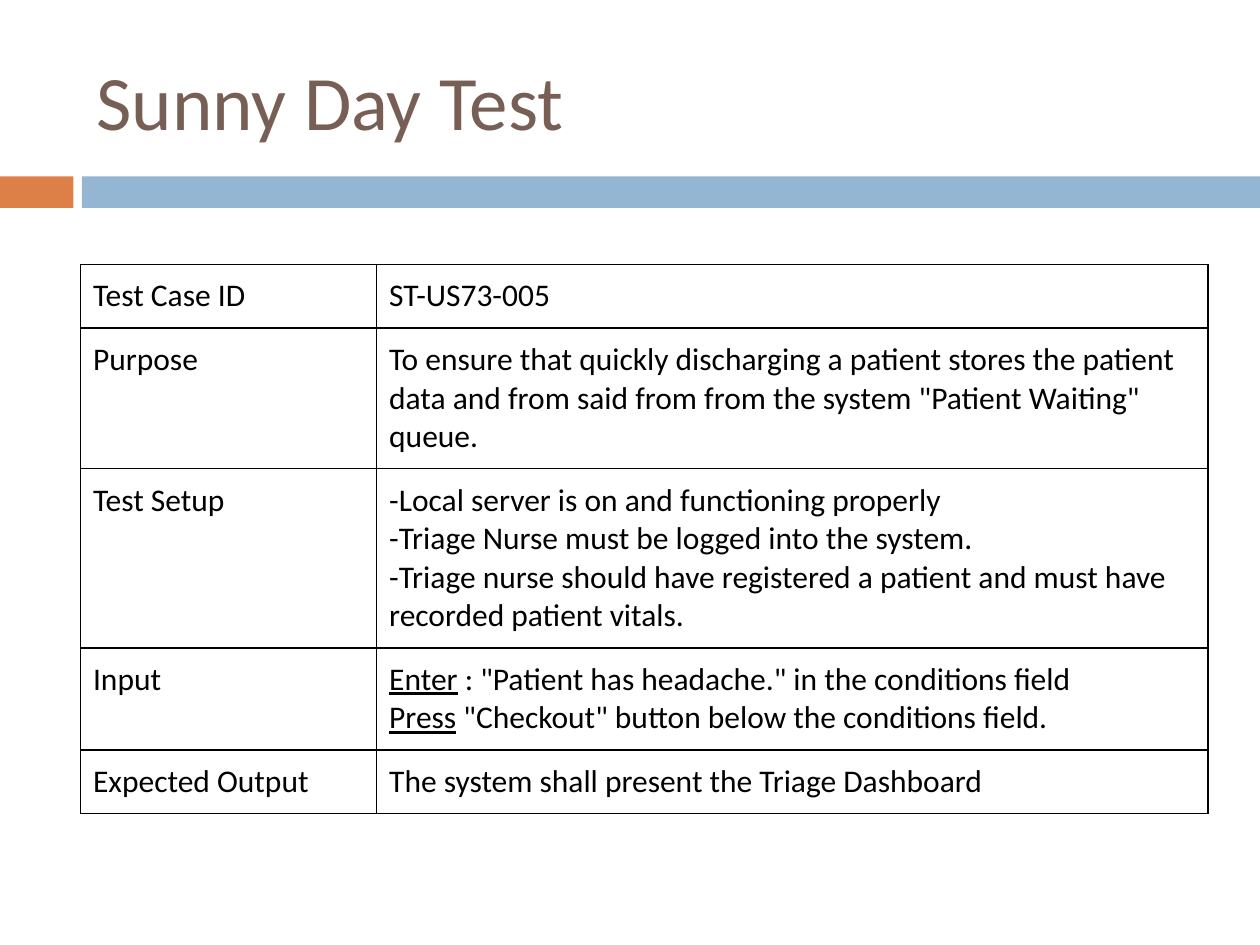
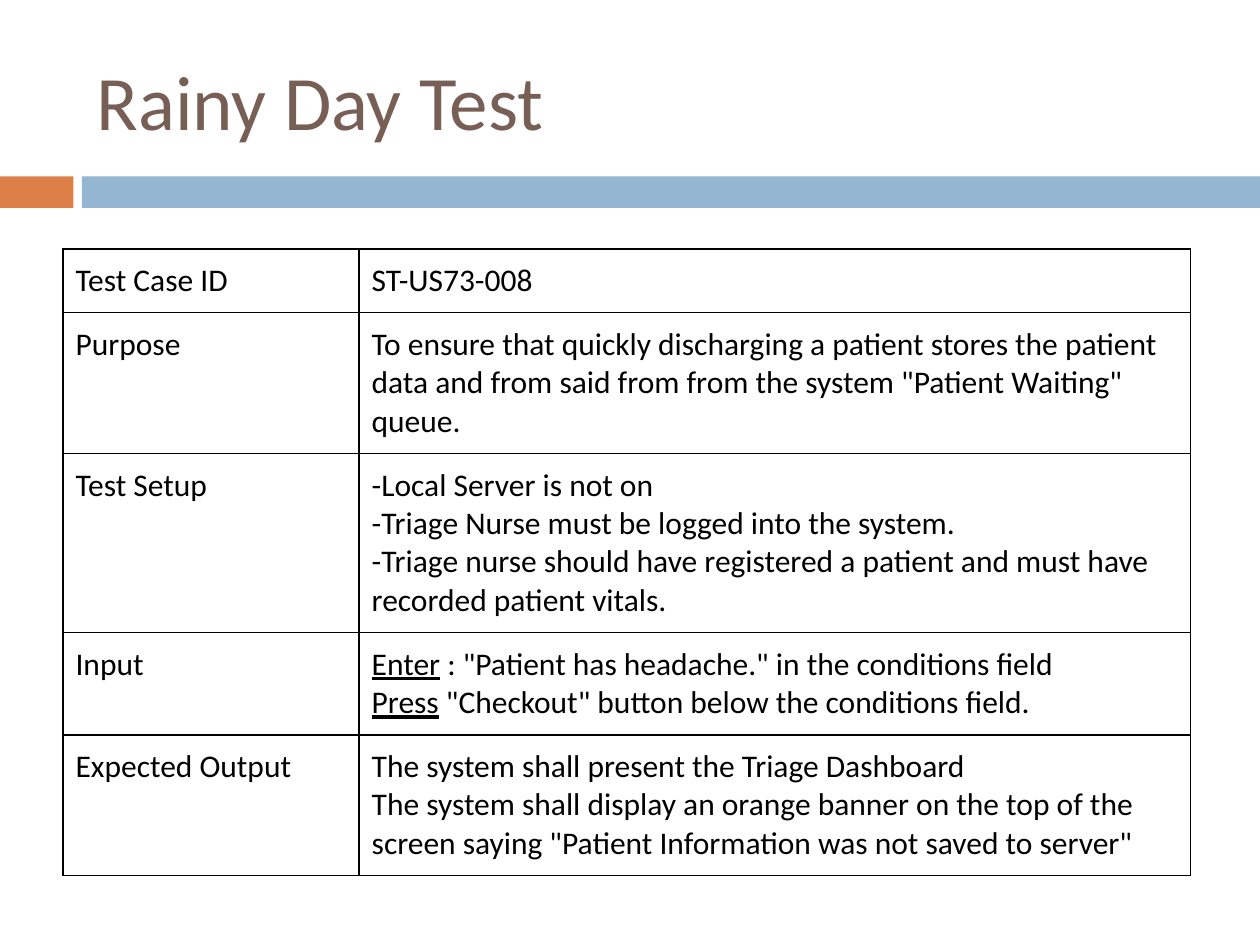
from lxml import etree
from pptx import Presentation
from pptx.dml.color import RGBColor
from pptx.enum import shapes, text
from pptx.oxml import ns
from pptx.util import Pt

COLORS = {
    "title": "775F55",
    "accent": "DD8047",
    "band": "94B6D2",
    "ink": "000000",
}
FONT = "Calibri"
SLIDE_W, SLIDE_H = 720, 540
TITLE_BOX = (48, 18, 642, 78)
BAND_BOX = (0, 100.8, SLIDE_W, 18)
ACCENT_W, BAND_GAP = 42, 4.8
COLUMN_WIDTHS = (169.2, 475.2)
CELL_MARGIN = 7.2
LINE_HEIGHT = 22
BORDER_WIDTH = 1

# Each paragraph is a list of (words, underlined) runs.
PURPOSE = [[("To ensure that quickly discharging a patient stores the patient data "
             'and from said from from the system "Patient Waiting" queue.', False)]]
SHARED_SETUP = [
    [("-Triage Nurse must be logged into the system.", False)],
    [("-Triage nurse should have registered a patient and must have recorded "
      "patient vitals.", False)],
]
INPUT_STEPS = [
    [("Enter", True), (' : "Patient has headache." in the conditions field', False)],
    [("Press", True), (' "Checkout" button below the conditions field.', False)],
]
DASHBOARD = [("The system shall present the Triage Dashboard", False)]
BANNER = [("The system shall display an orange banner on the top of the screen "
           'saying "Patient Information was not saved to server"', False)]

TEST_CASES = [
    {"title": "Sunny Day Test", "corner": (46, 151), "id": "ST-US73-005",
     "server": "-Local server is on and functioning properly",
     "output": [DASHBOARD], "output_lines": 1},
    {"title": "Rainy Day Test", "corner": (36, 142.3), "id": "ST-US73-008",
     "server": "-Local Server is not on",
     "output": [DASHBOARD, BANNER], "output_lines": 3},
]


def rgb(name):
    return RGBColor.from_string(COLORS[name])


def add_run(paragraph, words, size, color, underlined=False):
    run = paragraph.add_run()
    run.text = words
    run.font.name = FONT
    run.font.size = Pt(size)
    run.font.color.rgb = rgb(color)
    if underlined:
        run.font.underline = True


def place_title(slide, box, words):
    title = slide.shapes.title
    title.left, title.top, title.width, title.height = map(Pt, box)
    title.text_frame.vertical_anchor = text.MSO_ANCHOR.MIDDLE
    paragraph = title.text_frame.paragraphs[0]
    paragraph.alignment = text.PP_ALIGN.LEFT
    add_run(paragraph, words, 44, "title")


def add_band(slide, box):
    """Draw the short accent block and the long band to its right."""
    left, top, width, height = box
    offset = ACCENT_W + BAND_GAP
    for x, part_width, color in ((left, ACCENT_W, "accent"),
                                 (left + offset, width - offset, "band")):
        block = slide.shapes.add_shape(shapes.MSO_SHAPE.RECTANGLE,
                                       Pt(x), Pt(top), Pt(part_width), Pt(height))
        block.shadow.inherit = False
        block.fill.solid()
        block.fill.fore_color.rgb = rgb(color)
        block.line.fill.background()


def add_borders(cell):
    properties = cell._tc.get_or_add_tcPr()
    for side in ("a:lnL", "a:lnR", "a:lnT", "a:lnB"):
        line = etree.SubElement(properties, ns.qn(side), w=str(Pt(BORDER_WIDTH)))
        fill = etree.SubElement(line, ns.qn("a:solidFill"))
        etree.SubElement(fill, ns.qn("a:srgbClr"), val=COLORS["ink"])


def fill_cell(cell, paragraphs):
    add_borders(cell)
    cell.fill.background()
    cell.margin_left = cell.margin_right = Pt(CELL_MARGIN)
    cell.margin_top = cell.margin_bottom = Pt(CELL_MARGIN)
    cell.vertical_anchor = text.MSO_ANCHOR.TOP
    frame = cell.text_frame
    for index, runs in enumerate(paragraphs):
        paragraph = frame.add_paragraph() if index else frame.paragraphs[0]
        for words, underlined in runs:
            add_run(paragraph, words, 18, "ink", underlined)


def add_test_table(slide, corner, rows):
    """Add a table from (label, paragraphs, line count) rows."""
    heights = [2 * CELL_MARGIN + LINE_HEIGHT * lines for _, _, lines in rows]
    frame = slide.shapes.add_table(len(rows), len(COLUMN_WIDTHS), *map(Pt, corner),
                                   Pt(sum(COLUMN_WIDTHS)), Pt(sum(heights)))
    table = frame.table
    table.first_row = table.horz_banding = False
    for column, width in zip(table.columns, COLUMN_WIDTHS):
        column.width = Pt(width)
    for index, (label, paragraphs, _) in enumerate(rows):
        table.rows[index].height = Pt(heights[index])
        fill_cell(table.cell(index, 0), [[(label, False)]])
        fill_cell(table.cell(index, 1), paragraphs)


def add_test_slide(deck, case):
    slide = deck.slides.add_slide(deck.slide_layouts.get_by_name("Title Only"))
    add_band(slide, BAND_BOX)
    place_title(slide, TITLE_BOX, case["title"])
    add_test_table(slide, case["corner"], [
        ("Test Case ID", [[(case["id"], False)]], 1),
        ("Purpose", PURPOSE, 3),
        ("Test Setup", [[(case["server"], False)]] + SHARED_SETUP, 4),
        ("Input", INPUT_STEPS, 2),
        ("Expected Output", case["output"], case["output_lines"]),
    ])


def main():
    deck = Presentation()
    deck.slide_width, deck.slide_height = Pt(SLIDE_W), Pt(SLIDE_H)
    for case in TEST_CASES:
        add_test_slide(deck, case)
    deck.save("out.pptx")


if __name__ == "__main__":
    main()
